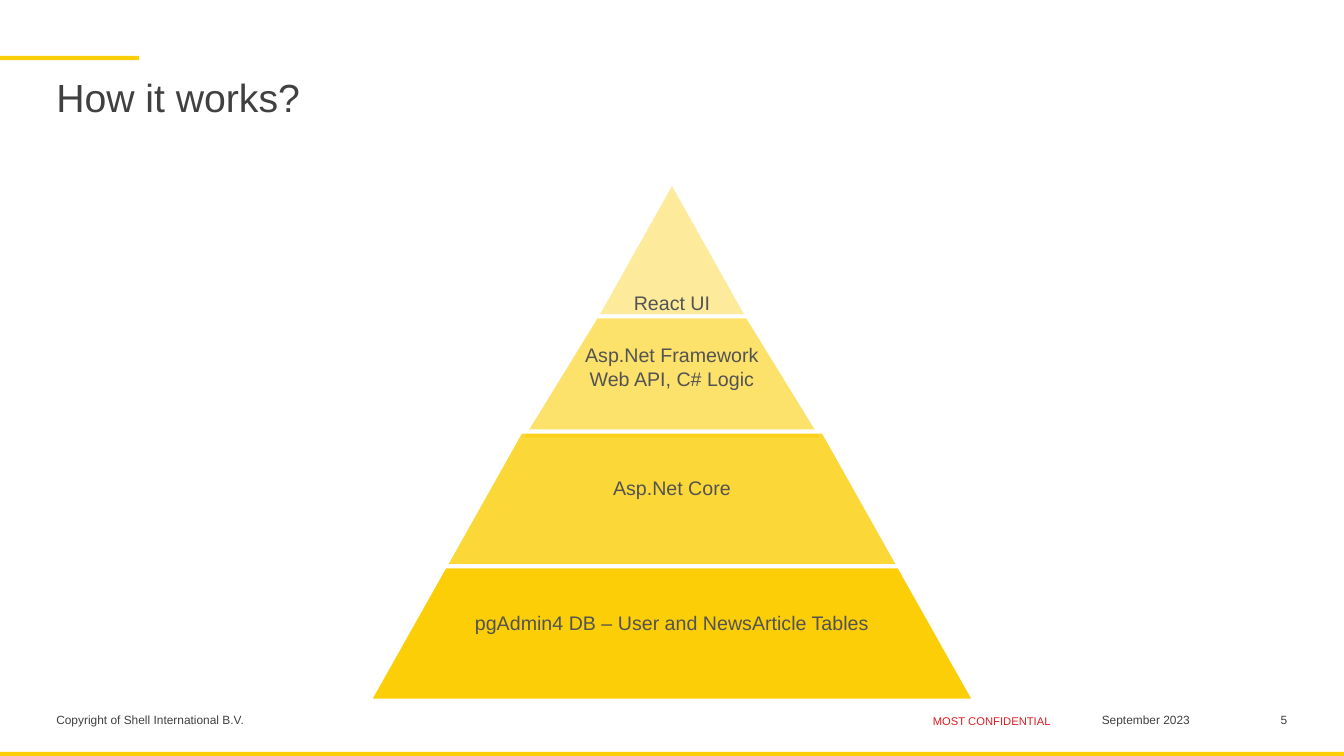
"""Build a slide that shows an application stack as a four-tier pyramid."""
from lxml import etree
from pptx import Presentation
from pptx.dml.color import RGBColor
from pptx.enum.shapes import MSO_SHAPE
from pptx.enum.text import MSO_ANCHOR, MSO_AUTO_SIZE, PP_ALIGN
from pptx.oxml.ns import qn
from pptx.util import Pt

RECTANGLE = MSO_SHAPE.RECTANGLE
TOP, MIDDLE, BOTTOM = MSO_ANCHOR.TOP, MSO_ANCHOR.MIDDLE, MSO_ANCHOR.BOTTOM
LEFT, CENTER, RIGHT = PP_ALIGN.LEFT, PP_ALIGN.CENTER, PP_ALIGN.RIGHT
NO_AUTOSIZE = MSO_AUTO_SIZE.NONE
COLORS = {
    "yellow": "FBCE07",
    "white": "FFFFFF",
    "text": "404040",
    "tier text": "535353",
    "red": "DD1D21",
}


def write_text(shape, text, size=8.5, color="text", align=LEFT, anchor=TOP,
               insets=(0, 0, 0, 0), spacing=1.0):
    """Fill a shape with formatted text, one paragraph a line."""
    frame = shape.text_frame
    frame.text = text
    frame.word_wrap = True
    frame.auto_size = NO_AUTOSIZE
    frame.vertical_anchor = anchor
    frame.margin_left, frame.margin_top, frame.margin_right, frame.margin_bottom = map(Pt, insets)
    for paragraph in frame.paragraphs:
        paragraph.alignment = align
        paragraph.line_spacing = spacing
        paragraph.font.name = "Arial"
        paragraph.font.size = Pt(size)
        paragraph.font.color.rgb = RGBColor.from_string(COLORS[color])


presentation = Presentation()
presentation.slide_width = Pt(960)
presentation.slide_height = Pt(540)
slide = presentation.slides.add_slide(presentation.slide_layouts[5])
shapes = slide.shapes

title = shapes.title
title.left, title.top, title.width, title.height = Pt(40.2), Pt(56.2), Pt(880), Pt(63.4)
write_text(title, "How it works?", size=28, spacing=0.9)

for left, top, width in [(0, 40, 99.4), (0, 537, 960)]:
    bar = shapes.add_shape(RECTANGLE, Pt(left), Pt(top), Pt(width), Pt(3))
    bar.shadow.inherit = False
    bar.fill.solid()
    bar.fill.fore_color.rgb = RGBColor.from_string(COLORS["yellow"])
    bar.line.fill.background()

footers = [
    ("Copyright of Shell International B.V.", 40.2, 509, 264, 8.5, "text", LEFT),
    ("MOST CONFIDENTIAL", 665.5, 510.5, 86, 8, "red", CENTER),
    ("September 2023", 762, 509, 113, 8.5, "text", CENTER),
    ("5", 891.5, 509, 28, 8.5, "text", RIGHT),
]
for text, left, top, width, size, color, align in footers:
    footer = shapes.add_textbox(Pt(left), Pt(top), Pt(width), Pt(18.5))
    write_text(footer, text, size=size, color=color, align=align, insets=(0, 0, 0, 3.6))

center_x = 480
half_step = 54.1
line_height = 16
tiers = [
    ("React UI", 129.6, 226, 40, BOTTOM, 0),
    ("Asp.Net Framework\nWeb API, C# Logic", 226, 314, 60, MIDDLE, line_height),
    ("Asp.Net Core", 308.2, 404.5, 80, MIDDLE, line_height),
    ("pgAdmin4 DB – User and NewsArticle Tables", 404.5, 500.6, 100, MIDDLE, line_height),
]
for index, (text, top, bottom, opacity, anchor, lift) in enumerate(tiers):
    half_top = index * half_step
    half_bottom = half_top + half_step
    builder = shapes.build_freeform(Pt(center_x - half_bottom), Pt(bottom))
    corners = [(-half_top, top), (half_top, top), (half_bottom, bottom)]
    builder.add_line_segments([(Pt(center_x + x), Pt(y)) for x, y in corners])
    tier = builder.convert_to_shape()
    tier.shadow.inherit = False
    tier.fill.solid()
    tier.fill.fore_color.rgb = RGBColor.from_string(COLORS["yellow"])
    if opacity < 100:
        fill_color = tier.fill._xPr.find(qn("a:solidFill"))[0]
        etree.SubElement(fill_color, qn("a:alpha"), val=str(opacity * 1000))
    tier.line.color.rgb = RGBColor.from_string(COLORS["white"])
    tier.line.width = Pt(3)
    write_text(tier, text, size=14, color="tier text", align=CENTER, anchor=anchor,
               insets=(0, 1.4, 0, 1.4 + lift))

presentation.save("out.pptx")
